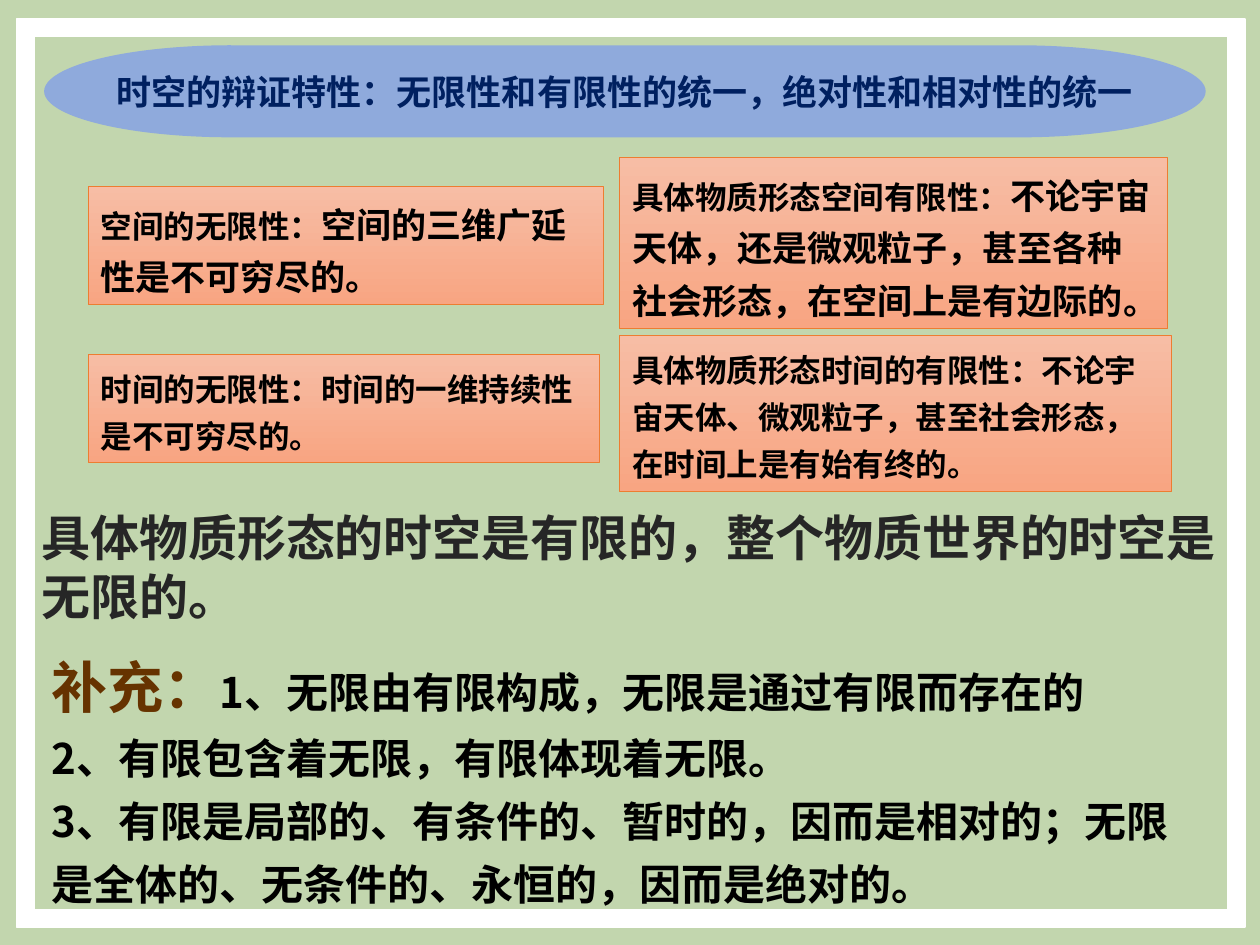
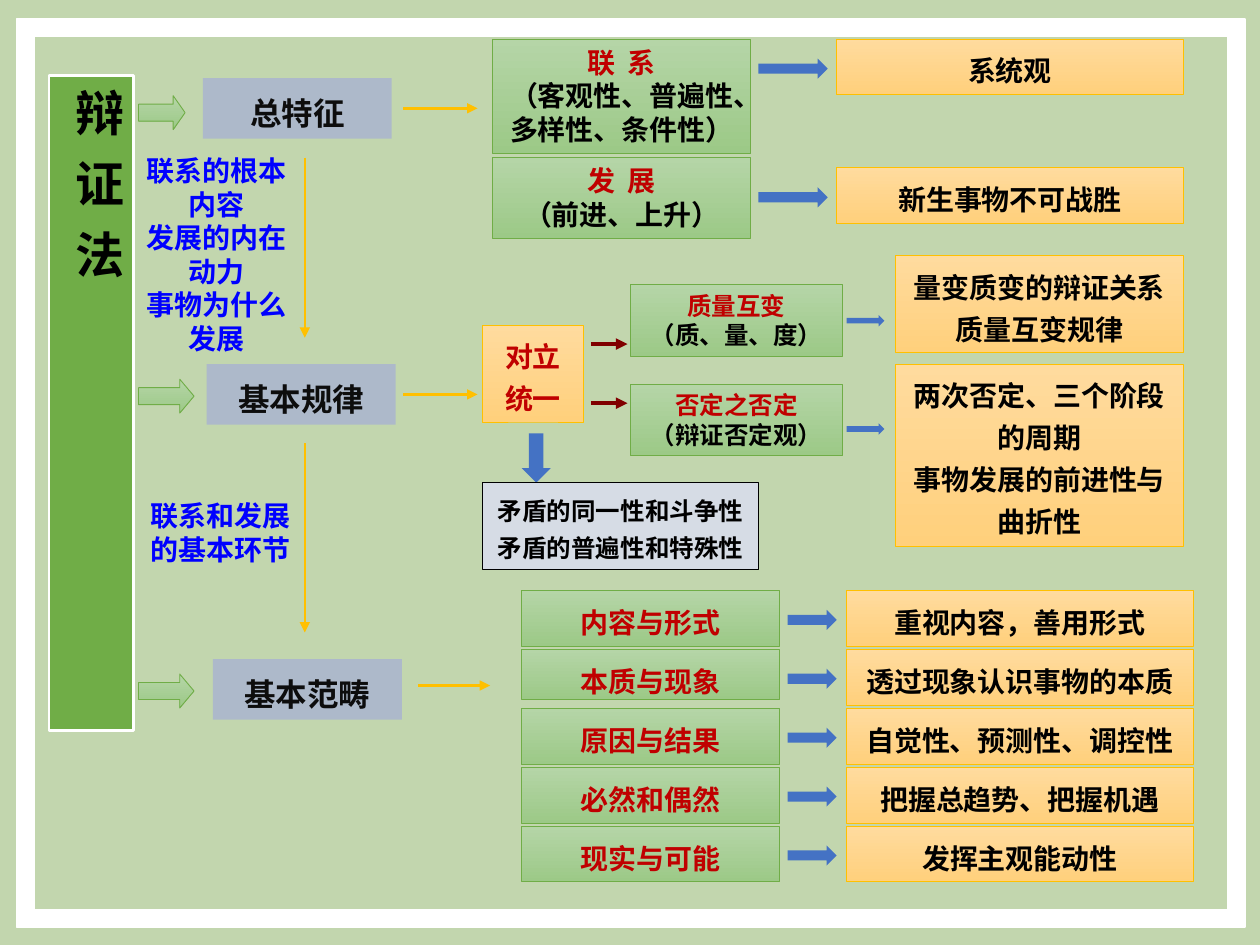
from lxml.etree import SubElement
from pptx import Presentation
from pptx.dml.color import RGBColor
from pptx.enum.lang import MSO_LANGUAGE_ID
from pptx.enum.shapes import MSO_CONNECTOR, MSO_SHAPE
from pptx.enum.text import MSO_ANCHOR, PP_ALIGN
from pptx.oxml.ns import qn
from pptx.util import Pt

RECT, FRAME = MSO_SHAPE.RECTANGLE, MSO_SHAPE.FRAME
BANNER = MSO_SHAPE.FLOWCHART_TERMINATOR
RIGHT, DOWN = MSO_SHAPE.RIGHT_ARROW, MSO_SHAPE.DOWN_ARROW
LEFT, CENTER = PP_ALIGN.LEFT, PP_ALIGN.CENTER
TOP, MIDDLE = MSO_ANCHOR.TOP, MSO_ANCHOR.MIDDLE
STRAIGHT = MSO_CONNECTOR.STRAIGHT
CHINESE = MSO_LANGUAGE_ID.SIMPLIFIED_CHINESE

CJK, LATIN = "Noto Sans CJK SC", "Arial"
BLACK, WHITE, RED, BLUE = "000000", "FFFFFF", "C00000", "0000FF"
SAGE, GOLD, MAROON, ROYAL = "C2D6AE", "FFC000", "800000", "4472C4"
LEAF = "70AD47"
LOOSE = 1.25

SALMON_BOX = {"fill": ("F7BDA5", "F8A582"), "line": ("ED7D31", 0.5)}
GREEN_BOX = {"fill": ("B5D5A7", "9CC987"), "line": (LEAF, 0.5)}
AMBER_BOX = {"fill": ("FFDB9E", "FFD07C"), "line": (GOLD, 0.5)}
STAGE_BOX = {"fill": "ADB9CA"}
POINT_BOX = {"fill": "D6DCE5", "line": (BLACK, 0.5)}
BAR_BOX = {"fill": LEAF, "line": (WHITE, 1.5)}
ARROW = {"fill": ROYAL}

BANNER_TEXT = "时空的辩证特性：无限性和有限性的统一，绝对性和相对性的统一"
CLAIMS = [
    ((50.4, 106.6, 294.5, 67.7),
     [("空间的无限性：", 18), ("空间的三维广延性是不可穷尽的。", 20)]),
    ((354.2, 90, 313.2, 97.9),
     [("具体物质形态空间有限性：", 18),
      ("不论宇宙天体，还是微观粒子，甚至各种社会形态，在空间上是有边际的。", 20)]),
    ((50.4, 202.3, 292.3, 61.9),
     [("时间的无限性：时间的一维持续性是不可穷尽的。", 18)]),
    ((354.2, 191.5, 315.4, 89.3),
     [("具体物质形态时间的有限性：不论宇宙天体、微观粒子，甚至社会形态，在时间上是有始有终的。", 18)]),
]
SUMMARY = "具体物质形态的时空是有限的，整个物质世界的时空是无限的。"
SUPPLEMENT = [
    [("补充：", 32, "663300"), ("1、无限由有限构成，无限是通过有限而存在的", 24, BLACK)],
    [("2、有限包含着无限，有限体现着无限。", 24, BLACK)],
    [("3、有限是局部的、有条件的、暂时的，因而是相对的；无限是全体的、无条件的、永恒的，因而是绝对的。", 24, BLACK)],
]

STAGES = [
    ("总特征", 115.9, 44.6, 26.6, 54.7),
    ("基本规律", 118.1, 208.1, 31.7, 216.7),
    ("基本范畴", 121.7, 376.6, 31.7, 385.2),
]
NOTES = [
    ((73.4, 84.2, 100.8, 123.8), ["联系的根本内容", "发展的内在动力", "事物为什么发展"]),
    ((78.5, 281.5, 95, 65.5), ["联系和发展的基本环节"]),
]
FEATURES = [
    ("联 系", "（客观性、普遍性、多样性、条件性）", 22.3, 65.5, "系统观", 22.3),
    ("发 展", "（前进、上升）", 90, 46.1, "新生事物不可战胜", 95.8),
]
LAWS = [
    ("质量互变", "（质、量、度）", 162.7,
     ["量变质变的辩证关系", "质量互变规律"], 146.2, 55.4, 180),
    ("否定之否定", "（辩证否定观）", 219.6,
     ["两次否定、三个阶段的周期", "事物发展的前进性与曲折性"], 208.1, 104.4, 241.9),
]
CONTRADICTION = ["矛盾的同一性和斗争性", "矛盾的普遍性和特殊性"]
CATEGORIES = [
    ("内容与形式", "重视内容，善用形式", 31.7),
    ("本质与现象", "透过现象认识事物的本质", 28.1),
    ("原因与结果", "自觉性、预测性、调控性", 31.7),
    ("必然和偶然", "把握总趋势、把握机遇", 31.7),
    ("现实与可能", "发挥主观能动性", 31.7),
]
CATEGORY_TOP, CATEGORY_STEP = 337.7, 33.65
LINKS = [
    (230.4, 61.9, 272.9, 61.9, GOLD, 1.5),
    (230.4, 225.4, 272.9, 225.4, GOLD, 1.5),
    (239, 391.7, 280.1, 391.7, GOLD, 1.5),
    (174.2, 90, 174.2, 193, GOLD, 1.5),
    (174.2, 253.4, 174.2, 361.4, GOLD, 1.5),
    (337.7, 196.6, 358.6, 196.6, MAROON, 2.25),
    (337.7, 230.4, 358.6, 230.4, MAROON, 2.25),
]


def color(value):
    return RGBColor.from_string(value)


def points(values):
    return [Pt(value) for value in values]


def lines(texts, size, ink):
    return [[(text, size, ink)] for text in texts]


def write(box, paragraphs, align=CENTER, spacing=1, font=CJK, anchor=TOP):
    frame = box.text_frame
    frame.word_wrap = True
    frame.vertical_anchor = anchor
    for index, runs in enumerate(paragraphs):
        para = frame.paragraphs[0] if index == 0 else frame.add_paragraph()
        para.alignment = align
        para.line_spacing = spacing
        for text, size, ink in runs:
            span = para.add_run()
            span.text = text
            formats = {"size": Pt(size), "bold": True, "name": font, "language_id": CHINESE}
            for name, value in formats.items():
                setattr(span.font, name, value)
            span.font.color.rgb = color(ink)
            properties = span.font._element
            SubElement(properties, qn("a:ea"), typeface=CJK)
            if " " in text:
                properties.set("spc", str(size * 11))


def add_box(page, place, fill, line=None, kind=RECT):
    box = page.shapes.add_shape(kind, *points(place))
    box.shadow.inherit = False
    if isinstance(fill, tuple):
        box.fill.gradient()
        box.fill.gradient_angle = 270
        for stop, shade in zip(box.fill.gradient_stops, fill):
            stop.color.rgb = color(shade)
    else:
        box.fill.solid()
        box.fill.fore_color.rgb = color(fill)
    if line:
        box.line.color.rgb = color(line[0])
        box.line.width = Pt(line[1])
    else:
        box.line.fill.background()
    return box


def add_text(page, place, paragraphs, **formats):
    write(page.shapes.add_textbox(*points(place)), paragraphs, **formats)


def add_link(page, x1, y1, x2, y2, ink, width):
    link = page.shapes.add_connector(STRAIGHT, *points((x1, y1, x2, y2)))
    link.line.color.rgb = color(ink)
    link.line.width = Pt(width)
    SubElement(link.line._get_or_add_ln(), qn("a:tailEnd"), type="triangle")
    SubElement(link._element.spPr, qn("a:effectLst"))


def add_page(deck):
    page = deck.slides.add_slide(deck.slide_layouts[6])
    page.background.fill.solid()
    page.background.fill.fore_color.rgb = color(SAGE)
    border = add_box(page, (9.4, 10.8, 702, 519.1), WHITE, (WHITE, 1), FRAME)
    border.adjustments[0] = 0.019
    return page


def build_space_time(page):
    banner = add_box(page, (25.2, 25.9, 663.8, 52.6), "8FAADC", kind=BANNER)
    write(banner, lines([BANNER_TEXT], 20, "002060"), anchor=MIDDLE)
    for place, runs in CLAIMS:
        paragraph = [(text, size, BLACK) for text, size in runs]
        write(add_box(page, place, **SALMON_BOX), [paragraph], align=LEFT, spacing=LOOSE)
    add_text(page, (16.6, 286.6, 686.2, 74.9), lines([SUMMARY], 28, "262626"), align=LEFT)
    add_text(page, (22.3, 360, 663.8, 164.9), SUPPLEMENT, align=LEFT, spacing=LOOSE)


def build_stages(page):
    bar = add_box(page, (28.1, 43.2, 48.2, 374.4), **BAR_BOX)
    write(bar, lines(["辩 证 法"], 28, BLACK), align=LEFT)
    bar.text_frame._txBody.bodyPr.set("vert", "eaVert")
    for name, left, top, length, arrow_top in STAGES:
        arrow = add_box(page, (79.2, arrow_top, length, 19.4), kind=RIGHT, **GREEN_BOX)
        arrow.adjustments[1] = 0.42 if length > 30 else 0.35
        box = add_box(page, (left, top, 108, 34.6), **STAGE_BOX)
        write(box, lines([name], 18, "0D0D0D"), spacing=LOOSE, font=LATIN)
    for place, texts in NOTES:
        add_text(page, place, lines(texts, 16, BLUE), font=LATIN)


def build_features(page):
    for name, detail, top, height, result, result_top in FEATURES:
        box = add_box(page, (281.5, top, 147.6, height), **GREEN_BOX)
        write(box, [[(name, 16, RED)], [(detail, 16, BLACK)]])
        box = add_box(page, (478.1, result_top, 198, 31.7), **AMBER_BOX)
        write(box, lines([result], 16, BLACK), spacing=LOOSE)
        add_box(page, (433.4, result_top + 11.2, 39.6, 11.5), kind=RIGHT, **ARROW)


def build_laws(page):
    unity = add_box(page, (275.8, 185.8, 57.6, 55.4), **AMBER_BOX)
    write(unity, lines(["对立统一"], 16, RED), spacing=LOOSE)
    add_box(page, (298.1, 247.7, 16.6, 28.1), kind=DOWN, **ARROW)
    box = add_box(page, (275.8, 275.8, 157.7, 49.7), **POINT_BOX)
    write(box, lines(CONTRADICTION, 14, BLACK), spacing=LOOSE)
    for name, detail, top, results, result_top, height, arrow_top in LAWS:
        box = add_box(page, (360, top, 121.7, 41), **GREEN_BOX)
        write(box, [[(name, 14, RED)], [(detail, 14, BLACK)]])
        box = add_box(page, (511.9, result_top, 164.2, height), **AMBER_BOX)
        write(box, lines(results, 16, BLACK), spacing=LOOSE)
        add_box(page, (483.8, arrow_top, 21.6, 6.5), kind=RIGHT, **ARROW)


def build_categories(page):
    for index, (name, result, height) in enumerate(CATEGORIES):
        top = CATEGORY_TOP + index * CATEGORY_STEP
        box = add_box(page, (298.1, top, 147.6, height), **GREEN_BOX)
        write(box, lines([name], 16, RED), spacing=LOOSE)
        box = add_box(page, (483.8, top, 198, 31.7), **AMBER_BOX)
        write(box, lines([result], 16, BLACK), spacing=LOOSE)
        add_box(page, (450, top + 10.8, 28.1, 11.5), kind=RIGHT, **ARROW)


def build_dialectics(page):
    for build in (build_stages, build_features, build_laws, build_categories):
        build(page)
    for link in LINKS:
        add_link(page, *link)


def main():
    deck = Presentation()
    deck.slide_width, deck.slide_height = Pt(720), Pt(540)
    for build in (build_space_time, build_dialectics):
        build(add_page(deck))
    deck.save("out.pptx")


if __name__ == "__main__":
    main()
